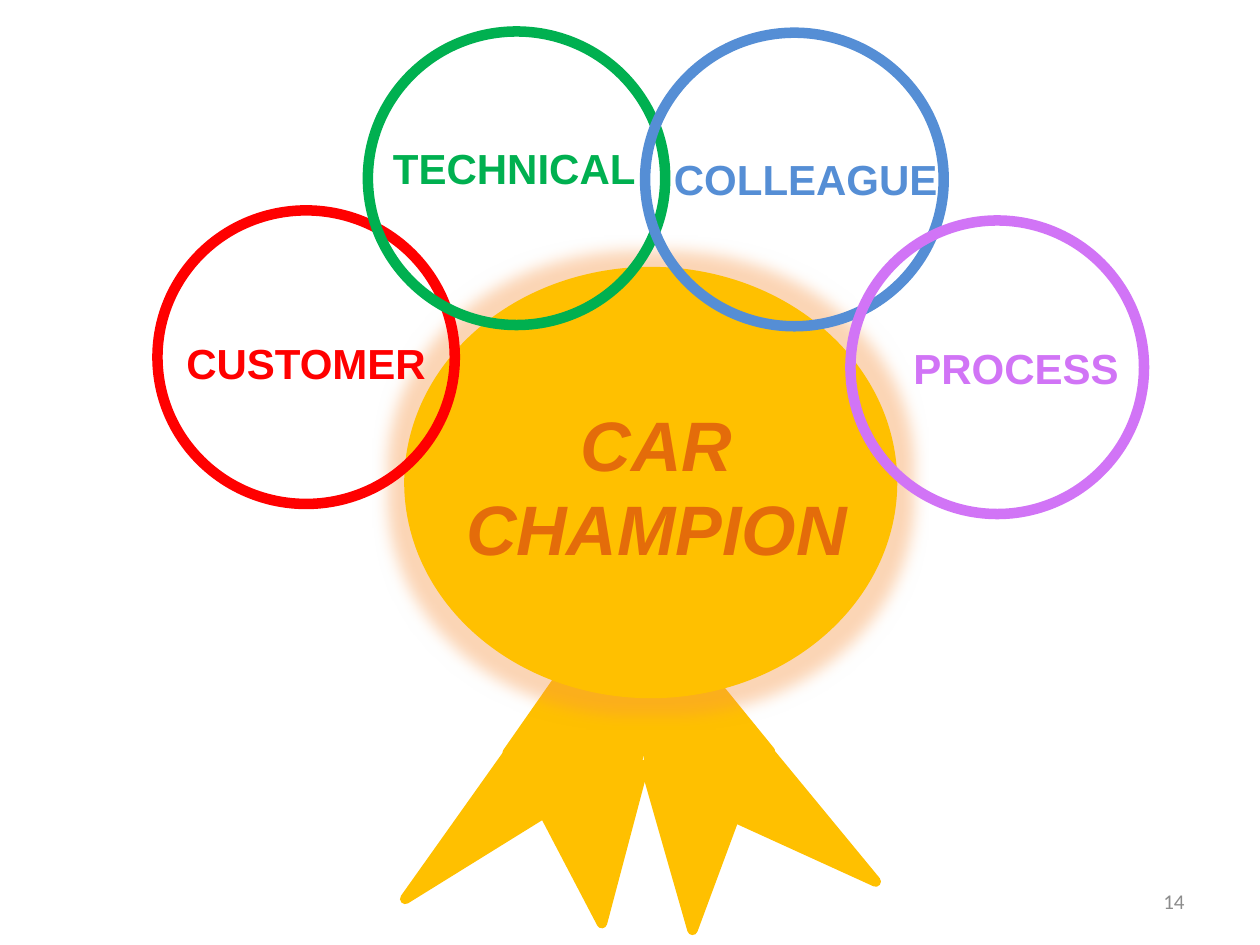
from pptx import Presentation
from pptx import util as u
from pptx.dml.color import RGBColor
from pptx.enum import shapes, text
from pptx.oxml import parse_xml
from pptx.oxml.ns import nsdecls

GOLD = "FFC000"
SHAPE = shapes.MSO_SHAPE
ALIGN = text.PP_ALIGN

RIBBONS = [
    (SHAPE.TRAPEZOID, (4.14, 5.38, 1.06, 0.81), 20.9),
    (SHAPE.ISOSCELES_TRIANGLE, (3.47, 5.82, 0.63, 1.56), 226.8),
    (SHAPE.ISOSCELES_TRIANGLE, (4.24, 6.12, 0.94, 1.21), 173.6),
    (SHAPE.TRAPEZOID, (5, 5.38, 0.98, 0.83), 334.9),
    (SHAPE.ISOSCELES_TRIANGLE, (6.04, 5.83, 0.67, 1.45), 127.5),
    (SHAPE.ISOSCELES_TRIANGLE, (5.11, 6.13, 0.82, 1.25), 182.2),
]

RINGS = [
    ("CUSTOMER", "FF0000", (1.25, 1.67, 2.36, 2.33), (1.38, 2.63, 2.12, 0.5)),
    ("TECHNICAL", "00B050", (2.92, 0.25, 2.36, 2.33), (3.02, 1.08, 2.15, 0.5)),
    ("COLLEAGUE", "558ED5", (5.12, 0.26, 2.37, 2.33), (5.25, 1.17, 2.31, 0.5)),
    ("PROCESS", "D174F6", (6.75, 1.75, 2.33, 2.33), (7.15, 2.67, 1.85, 0.5)),
]


def color(value):
    return RGBColor.from_string(value)


def inches(box):
    return [u.Inches(v) for v in box]


def add_outlined(parent, kind, box, line, fill=None, rotation=0):
    sp = parent.shapes.add_shape(kind, *inches(box))
    sp.shadow.inherit = False
    sp.rotation = rotation
    if fill:
        sp.fill.solid()
        sp.fill.fore_color.rgb = color(fill)
    else:
        sp.fill.background()
    sp.line.color.rgb = color(line)
    sp.line.width = u.Pt(6)
    return sp


def add_glow(sp, value, radius, opacity):
    effects = sp._element.spPr.find("{*}effectLst")
    effects.append(parse_xml(
        f'<a:glow {nsdecls("a")} rad="{u.Pt(radius)}"><a:srgbClr val="{value}">'
        f'<a:alpha val="{opacity * 1000}"/></a:srgbClr></a:glow>'))


def add_text(s, content, box, size, value, font="Arial", bold=True, italic=False,
             align=ALIGN.LEFT, anchor=text.MSO_ANCHOR.TOP, wrap=False):
    tf = s.shapes.add_textbox(*inches(box)).text_frame
    tf.word_wrap = wrap
    tf.vertical_anchor = anchor
    tf.text = content
    for p in tf.paragraphs:
        p.alignment = align
        for r in p.runs:
            r.font.name = font
            r.font.size = u.Pt(size)
            r.font.bold = bold
            r.font.italic = italic
            r.font.color.rgb = color(value)


def add_rosette(s):
    group = s.shapes.add_group_shape()
    for kind, box, rotation in RIBBONS:
        add_outlined(group, kind, box, GOLD, GOLD, rotation)
    medal = add_outlined(group, SHAPE.OVAL, (3.25, 2.16, 3.83, 3.34), GOLD, GOLD)
    add_glow(medal, "F79646", 18, 40)


def main():
    prs = Presentation()
    prs.slide_width, prs.slide_height = u.Inches(10), u.Inches(7.5)
    s = prs.slides.add_slide(prs.slide_layouts[6])
    add_rosette(s)
    for _, value, ring, _ in RINGS:
        add_outlined(s, SHAPE.OVAL, ring, value)
    for label, value, _, box in RINGS:
        add_text(s, label, box, 24, value)
    add_text(s, "CAR\nCHAMPION", (3.58, 3.14, 3.26, 1.45), 40, "E46C0A",
             italic=True, align=ALIGN.CENTER)
    add_text(s, "14", (7.17, 6.95, 2.33, 0.4), 12, "8C8C8C", font="Calibri",
             bold=False, align=ALIGN.RIGHT, anchor=text.MSO_ANCHOR.MIDDLE, wrap=True)
    prs.save("out.pptx")


if __name__ == "__main__":
    main()
